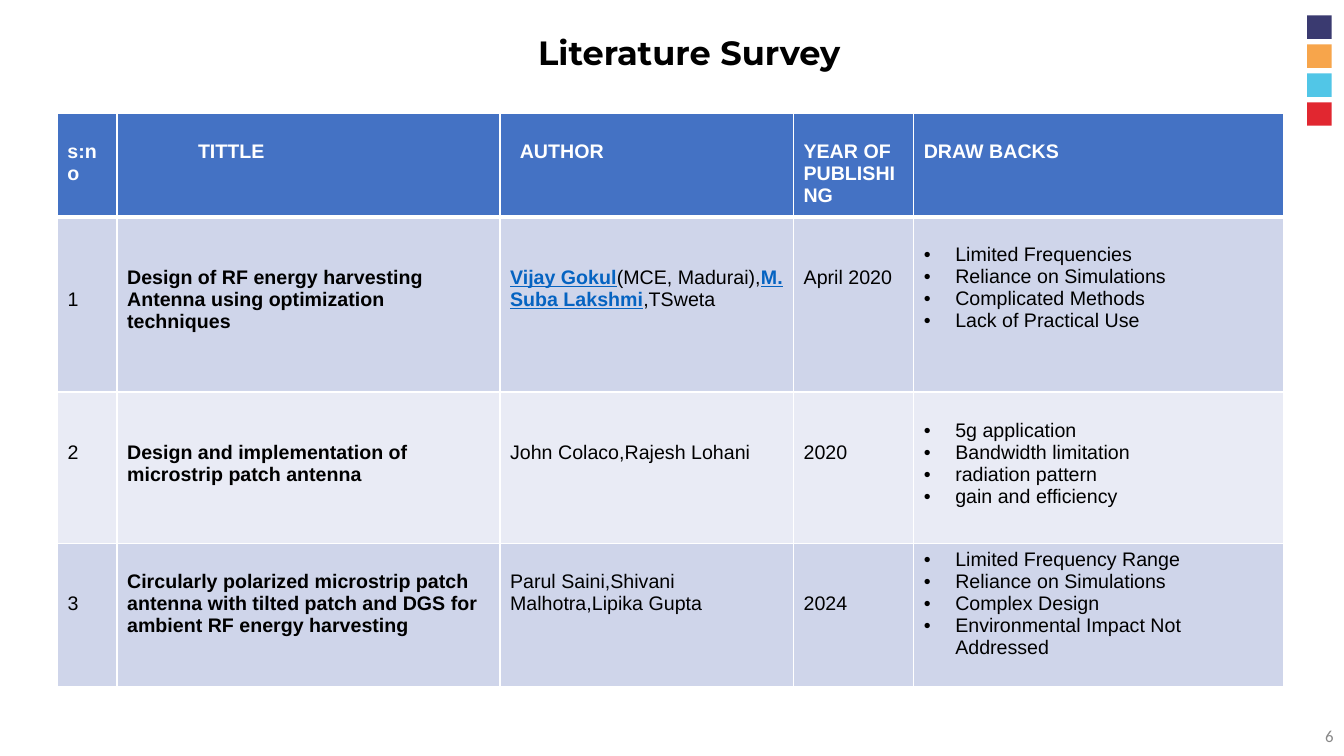
from pptx import Presentation
from pptx.dml.color import RGBColor
from pptx.enum.shapes import MSO_SHAPE
from pptx.enum.text import MSO_ANCHOR, MSO_AUTO_SIZE, PP_ALIGN
from pptx.oxml import parse_xml
from pptx.oxml.ns import nsdecls
from pptx.util import Cm, Pt

# Content: each cell is (lines of text set down from the top, runs or bullets)
TITLE = "Literature Survey"
PAGE = "6"
HEADERS = ["s:no", "TITTLE", "AUTHOR", "YEAR OF PUBLISHING", "DRAW BACKS"]
HEADER_INDENTS = [0, 1.79, 0.25, 0, 0]
PAPERS = [
    [(3, "1"),
     (2, "Design of RF energy harvesting Antenna using optimization techniques"),
     (2, [("Vijay Gokul", True), ("(MCE, Madurai),", False),
          ("M. Suba Lakshmi", True), (",TSweta", False)]),
     (2, "April 2020"),
     (1, ["Limited Frequencies", "Reliance on Simulations",
          "Complicated Methods", "Lack of Practical Use"])],
    [(2, "2"),
     (2, "Design and implementation of microstrip patch antenna"),
     (2, [("John Colaco,Rajesh Lohani", False)]),
     (2, "2020"),
     (1, ["5g application", "Bandwidth limitation",
          "radiation pattern", "gain and efficiency"])],
    [(2, "3"),
     (1, "Circularly polarized microstrip patch antenna with tilted patch "
         "and DGS for ambient RF energy harvesting"),
     (1, [("Parul Saini,Shivani Malhotra,Lipika Gupta", False)]),
     (2, "2024"),
     (0, ["Limited Frequency Range", "Reliance on Simulations",
          "Complex Design", "Environmental Impact Not Addressed"])],
]
COL_WIDTHS = [1.5, 9.65, 7.4, 3.03, 9.32]
ROW_HEIGHTS = [2.6, 4.42, 3.81, 3.6]
TITLE_COL, AUTHOR_COL, DRAWBACK_COL = 1, 2, 4
SQUARES = ["3A3A70", "F7A54B", "51C6E7", "E12730"]
HEADER_FILL, BANDS = "4472C4", ["CFD5EA", "E9EBF5"]
BLACK, WHITE, LINK, GREY = "000000", "FFFFFF", "0563C1", "888888"
LINE = 0.56
INSET = 0.13
BULLET_INDENT = 0.79


def rgb(value):
    return RGBColor.from_string(value)


def style(r, color, bold=False, underline=False, size=14, name="Arial"):
    r.font.name, r.font.size = name, Pt(size)
    r.font.bold, r.font.underline = bold, underline
    r.font.color.rgb = rgb(color)


def add_bullet(p):
    pPr = p._p.get_or_add_pPr()
    pPr.set("marL", str(Cm(BULLET_INDENT)))
    pPr.set("indent", str(-Cm(BULLET_INDENT)))
    pPr.append(parse_xml(f'<a:buFont {nsdecls("a")} typeface="Arial"/>'))
    pPr.append(parse_xml(f'<a:buChar {nsdecls("a")} char="•"/>'))


def format_cell(cell, row, fill, lines):
    # Borders go in ahead of the fill
    widths = {"L": 1, "R": 1, "T": 3 if row == 1 else 1, "B": 3 if row == 0 else 1}
    for side, width in widths.items():
        cell._tc.get_or_add_tcPr().append(parse_xml(
            f'<a:ln{side} {nsdecls("a")} w="{Pt(width)}"><a:solidFill>'
            f'<a:srgbClr val="{WHITE}"/></a:solidFill></a:ln{side}>'))
    cell.fill.solid()
    cell.fill.fore_color.rgb = rgb(fill)
    cell.vertical_anchor = MSO_ANCHOR.TOP
    cell.margin_top = Cm(INSET + lines * LINE)


prs = Presentation()
prs.slide_width, prs.slide_height = Cm(33.87), Cm(19.05)
s = prs.slides.add_slide(prs.slide_layouts[5])

# Colour squares in the corner
for i, color in enumerate(SQUARES):
    sp = s.shapes.add_shape(MSO_SHAPE.RECTANGLE, Cm(32.94), Cm(0.39 + 0.73 * i),
                            Cm(0.62), Cm(0.59))
    sp.shadow.inherit = False
    sp.fill.solid()
    sp.fill.fore_color.rgb = rgb(color)
    sp.line.fill.background()

# Title
title = s.shapes.title
title.left, title.top, title.width, title.height = Cm(2.77), Cm(0.63), Cm(29.2), Cm(1.37)
tf = title.text_frame
tf.text = TITLE
tf.auto_size = MSO_AUTO_SIZE.NONE
tf.vertical_anchor = MSO_ANCHOR.MIDDLE
tf.paragraphs[0].alignment = PP_ALIGN.CENTER
style(tf.paragraphs[0].runs[0], BLACK, True, size=24, name="Montserrat")

# Page number
tf = s.shapes.add_textbox(Cm(26.24), Cm(18.03), Cm(7.62), Cm(1.02)).text_frame
tf.word_wrap = True
tf.vertical_anchor = MSO_ANCHOR.MIDDLE
tf.text = PAGE
tf.paragraphs[0].alignment = PP_ALIGN.RIGHT
style(tf.paragraphs[0].runs[0], GREY, size=12, name="Calibri")

# Survey table
table = s.shapes.add_table(len(PAPERS) + 1, len(HEADERS), Cm(1.45), Cm(2.86),
                           Cm(sum(COL_WIDTHS)), Cm(sum(ROW_HEIGHTS))).table
table.first_row = table.horz_banding = False
for column, width in zip(table.columns, COL_WIDTHS):
    column.width = Cm(width)
for table_row, height in zip(table.rows, ROW_HEIGHTS):
    table_row.height = Cm(height)

# Header row
for col, (text, indent) in enumerate(zip(HEADERS, HEADER_INDENTS)):
    cell = table.cell(0, col)
    format_cell(cell, 0, HEADER_FILL, 1)
    cell.margin_left = Cm(0.25 + indent)
    cell.text_frame.text = text
    style(cell.text_frame.paragraphs[0].runs[0], WHITE, True)

# Paper rows
for row, paper in enumerate(PAPERS, 1):
    for col, (lines, content) in enumerate(paper):
        cell = table.cell(row, col)
        format_cell(cell, row, BANDS[(row - 1) % 2], lines)
        tf = cell.text_frame
        if col == AUTHOR_COL:
            for text, linked in content:
                r = tf.paragraphs[0].add_run()
                r.text = text
                style(r, LINK if linked else BLACK, linked, linked)
            continue
        tf.text = "\n".join(content) if col == DRAWBACK_COL else content
        for p in tf.paragraphs:
            if col == DRAWBACK_COL:
                add_bullet(p)
            style(p.runs[0], BLACK, col == TITLE_COL)

prs.save("out.pptx")
